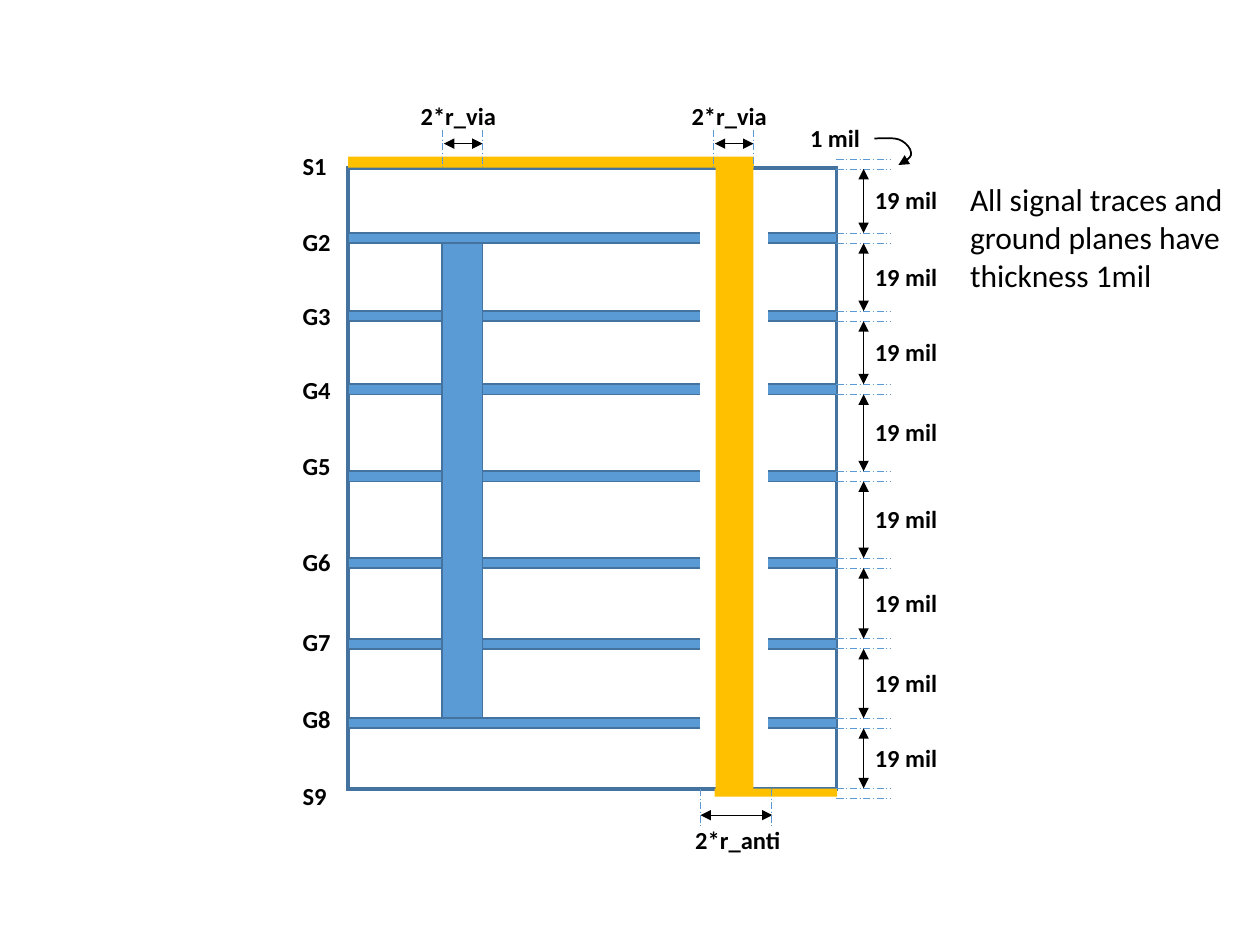
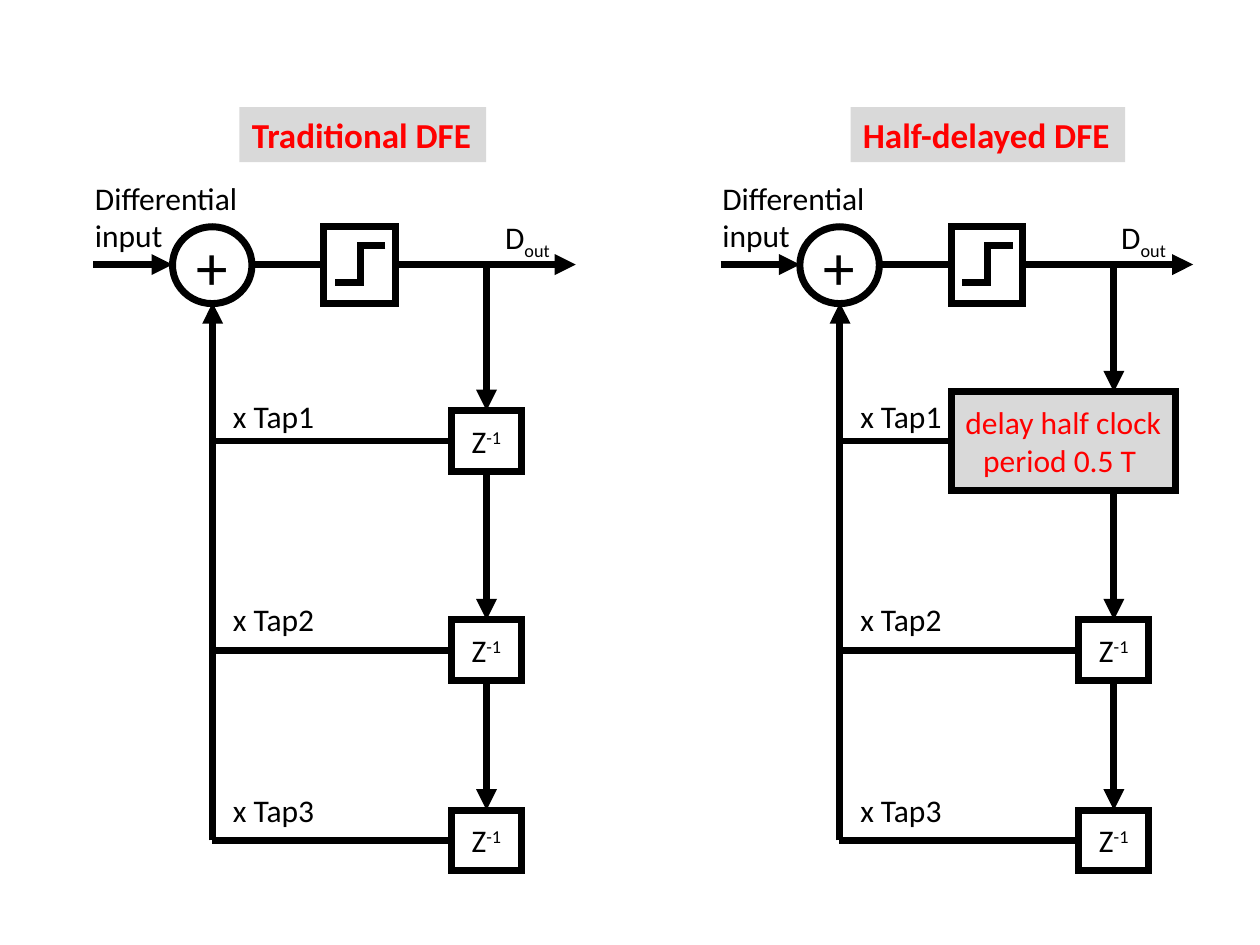
"""Build two slides: a board layer stack and a pair of equalizer loops."""
from dataclasses import dataclass
from lxml.etree import SubElement as Sub
from pptx import Presentation
from pptx.dml.color import RGBColor as RGB
from pptx.enum.dml import MSO_LINE as Dash
from pptx.enum.shapes import MSO_CONNECTOR as Link, MSO_SHAPE as Form
from pptx.enum.text import MSO_ANCHOR as Anchor, MSO_AUTO_SIZE as Fit, PP_ALIGN as Align
from pptx.oxml.ns import qn
from pptx.util import Pt


@dataclass(frozen=True)
class Theme:
    font: str = "Calibri"
    black: str = "000000"
    white: str = "FFFFFF"
    red: str = "FF0000"
    gray: str = "D9D9D9"
    blue: str = "5B9BD5"
    navy: str = "43739E"
    gold: str = "FFC000"
    small: int = 14
    body: int = 18
    title: int = 20
    sign: int = 36
    thin: float = 0.5
    thick: float = 4


class Deck:
    def __init__(self, theme):
        self.theme = theme
        self.show = Presentation()
        self.show.slide_width, self.show.slide_height = Pt(720), Pt(540)

    def page(self):
        self.shapes = self.show.slides.add_slide(self.show.slide_layouts[6]).shapes

    def put(self, item, **values):
        for name, value in values.items():
            setattr(item, name, value)

    def ink(self, shape, color, width, dash=None, head=False, tail=False):
        shape.line.color.rgb = RGB.from_string(color)
        self.put(shape.line, width=Pt(width), dash_style=dash)
        edge = shape.element.spPr.find(qn("a:ln"))
        Sub(edge, qn("a:miter"), lim="800000")
        for tag, shown in (("a:headEnd", head), ("a:tailEnd", tail)):
            if shown:
                Sub(edge, qn(tag), type="triangle")

    def words(self, shape, parts, size, color=None, bold=False, align=Align.LEFT, **frame):
        self.put(shape.text_frame, **frame)
        para = shape.text_frame.paragraphs[0]
        para.alignment = align
        for part in parts:
            if part == "\n":
                para.add_line_break()
                continue
            text, shift = part if isinstance(part, tuple) else (part, 0)
            run = para.add_run()
            run.text = text
            self.put(run.font, name=self.theme.font, size=Pt(size), bold=bold)
            run.font.color.rgb = RGB.from_string(color or self.theme.black)
            if shift:
                run._r.get_or_add_rPr().set("baseline", str(shift * 1000))

    def box(self, x, y, w, h, fill=None, line=None, width=1, form=Form.RECTANGLE):
        shape = self.shapes.add_shape(form, Pt(x), Pt(y), Pt(w), Pt(h))
        shape.shadow.inherit = False
        if fill:
            shape.fill.solid()
            shape.fill.fore_color.rgb = RGB.from_string(fill)
        else:
            shape.fill.background()
        if line:
            self.ink(shape, line, width)
        else:
            shape.line.fill.background()
        return shape

    def node(self, x, y, w, h, parts=(), size=None, color=None, **look):
        shape = self.box(x, y, w, h, line=self.theme.black, width=self.theme.thick, **look)
        if parts:
            self.words(shape, parts, size or self.theme.body, color, align=Align.CENTER,
                       vertical_anchor=Anchor.MIDDLE, word_wrap=True)

    def label(self, x, y, w, h, *parts, size=None, bold=False, wrap=False):
        shape = self.shapes.add_textbox(Pt(x), Pt(y), Pt(w), Pt(h))
        self.words(shape, parts, size or self.theme.body, bold=bold,
                   word_wrap=wrap, auto_size=Fit.SHAPE_TO_FIT_TEXT)

    def tag(self, x, y, text, w=62.6):
        self.label(x, y, w, 24.2, text, size=self.theme.small, bold=True, wrap=True)

    def title(self, x, w, text):
        shape = self.box(x, 61.2, w, 31.5, self.theme.gray)
        self.words(shape, [text], self.theme.title, self.theme.red, True, word_wrap=False,
                   vertical_anchor=Anchor.TOP, auto_size=Fit.SHAPE_TO_FIT_TEXT)

    def wire(self, x, y, to_x, to_y, color=None, width=None, kind=Link.STRAIGHT, **ends):
        line = self.shapes.add_connector(kind, Pt(x), Pt(y), Pt(to_x), Pt(to_y))
        self.ink(line, color or self.theme.black, width or self.theme.thick, **ends)
        Sub(line.element.spPr, qn("a:effectLst"))

    def guide(self, x, y, to_x, to_y):
        self.wire(x, y, to_x, to_y, self.theme.blue, self.theme.thin, dash=Dash.LONG_DASH_DOT)

    def span(self, x, y, to_x, to_y):
        self.wire(x, y, to_x, to_y, width=self.theme.thin, head=True, tail=True)

    def curve(self, start, *points):
        pen = self.shapes.build_freeform(*map(Pt, start))
        pen.add_line_segments([(Pt(x), Pt(y)) for x, y in points], close=False)
        shape = pen.convert_to_shape()
        shape.shadow.inherit = False
        shape.fill.background()
        self.ink(shape, self.theme.black, 1, tail=True)
        route = next(shape.element.iter(qn("a:path")))
        legs = route.findall(qn("a:lnTo"))
        for i in range(0, len(legs), 3):
            bend = Sub(route, qn("a:cubicBezTo"))
            for leg in legs[i:i + 3]:
                bend.append(leg[0])
                route.remove(leg)


def stack(deck):
    theme = deck.theme
    deck.page()
    left, right, thick = 199, 478, 5.8
    tops = [133.2, 177.8, 219.6, 269.3, 318.9, 365, 410.4]
    deck.box(left, 95.8, 279, 355, line=theme.navy, width=2.25)
    deck.box(left, 89.5, 231.8, 6.3, theme.gold)
    for top in tops:
        deck.box(left, top, 279, thick, theme.blue, theme.navy)
    deck.box(408.4, 450.7, 70, 4.6, theme.gold)
    for top in [91.2, *tops, 450.3]:
        for y in (top, top + thick):
            deck.guide(right, y, 509, y)
    starts = [96.5] + [top + thick for top in tops]
    for start, end in zip(starts, tops + [450.5]):
        deck.span(493.5, start, 493.5, end)
        deck.tag(492.8, (start + end) / 2 - 12.4, "19 mil")
    names = ["S1", *(f"G{n}" for n in range(2, 9)), "S9"]
    places = [82.8, 126, 168.5, 211, 254.2, 308.9, 355, 398.9, 442.8]
    for name, y in zip(names, places):
        deck.tag(165.8, y, name, 37.4)
    deck.label(547.2, 99.4, 166.3, 72.7,
               "All signal traces and ground planes have thickness 1mil", wrap=True)
    deck.box(252.7, 139, 23, 271.4, theme.blue, theme.navy)
    deck.box(400.3, 126.7, 38.2, 296.6, theme.white, theme.white)
    deck.box(409, 90.5, 21.6, 360.5, theme.gold)
    for x, end, text_x in ((252.7, 275.8, 233.3), (407.5, 430.6, 388.1)):
        deck.tag(text_x, 54, "2*r_via")
        deck.span(x + 1, 82.1, end, 82.1)
        for side in (x, end):
            deck.guide(side, 74.2, side, 95.8)
    deck.span(400.3, 465.8, 441.4, 465.8)
    for side in (400.3, 440.6):
        deck.guide(side, 450.7, side, 472.3)
    deck.tag(390.2, 468, "2*r_anti", 71.3)
    deck.tag(455.8, 67, "1 mil")
    deck.curve((499.7, 79.2), (502.5, 79), (505, 79), (507, 79), (510, 79), (513, 79),
               (515.5, 80.6), (518, 82), (520.5, 85), (520.6, 87.1), (521, 89.3),
               (518, 92), (516.2, 92.9), (515.5, 94), (514, 94.3), (513.4, 94.3))


def loop(deck, x, first, tip, out):
    theme = deck.theme
    main, back, down = 151.2, x + 121.5, x + 278
    delay = ["Z", ("-1", 30)]
    deck.node(x + 98.6, 129.6, 45.4, 43.9, ["+"], theme.sign, form=Form.OVAL)
    deck.node(x + 185, 129.6, 41, 43.9)
    deck.wire(x + 220.3, 140.4, x + 191.5, 161.3, kind=Link.ELBOW)
    deck.wire(x + 53.3, main, x + 98.6, main, tail=True)
    deck.wire(x + 144.5, main, x + 185, main)
    deck.wire(x + 226.5, main, x + tip, main, tail=True)
    deck.wire(back, 480.2, back, 173, tail=True)
    deck.label(x + 47.2, 98.6, 97.2, 50.9, "Differential", "\n", "input")
    deck.label(x + out, 121, 42.5, 29, "D", ("out", -25))
    cell = (257.8, 40.3, 34.6, delay, {})
    above = main
    rows = [(252, 223.2, first or cell), (371.5, 339.1, cell), (480.2, 448.2, cell)]
    for n, (y, text_y, (side, w, h, parts, look)) in enumerate(rows, 1):
        top = y - h / 2
        deck.wire(down, above, down, top, tail=True)
        deck.wire(x + side, y, back - 0.5, y)
        deck.node(x + side, top, w, h, parts, **look)
        deck.label(x + 126, text_y, 61.2, 29, f"x Tap{n}")
        above = top + h


def main():
    theme = Theme()
    deck = Deck(theme)
    stack(deck)
    deck.page()
    half = (185, 128.2, 56.2, ["delay half clock period 0.5 T "],
            {"fill": theme.gray, "color": theme.red})
    loop(deck, 0, None, 329, 281.5)
    loop(deck, 358.5, half, 323.3, 275.1)
    deck.title(136.8, 141, "Traditional DFE")
    deck.title(486, 157, "Half-delayed DFE")
    deck.show.save("out.pptx")


main()
